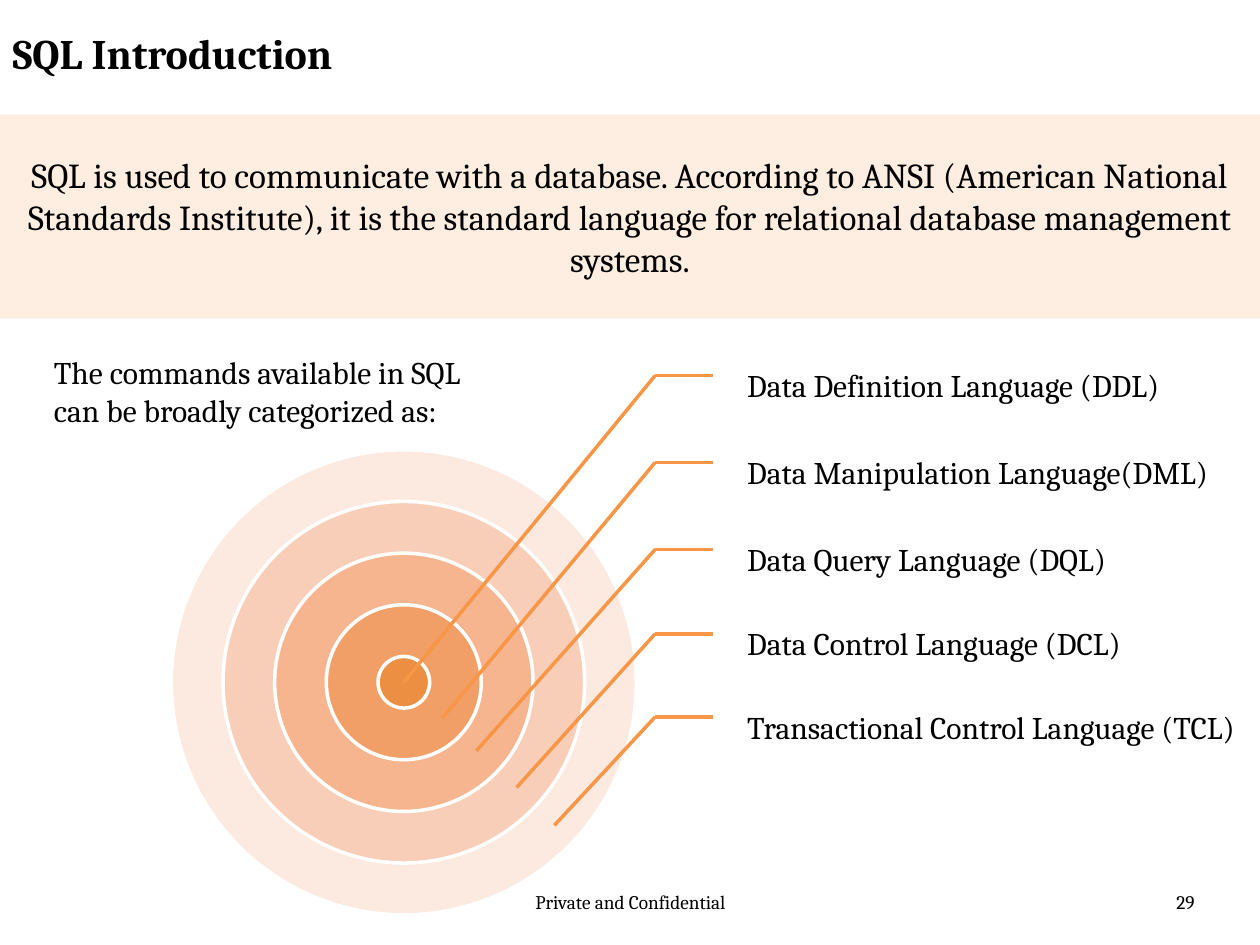
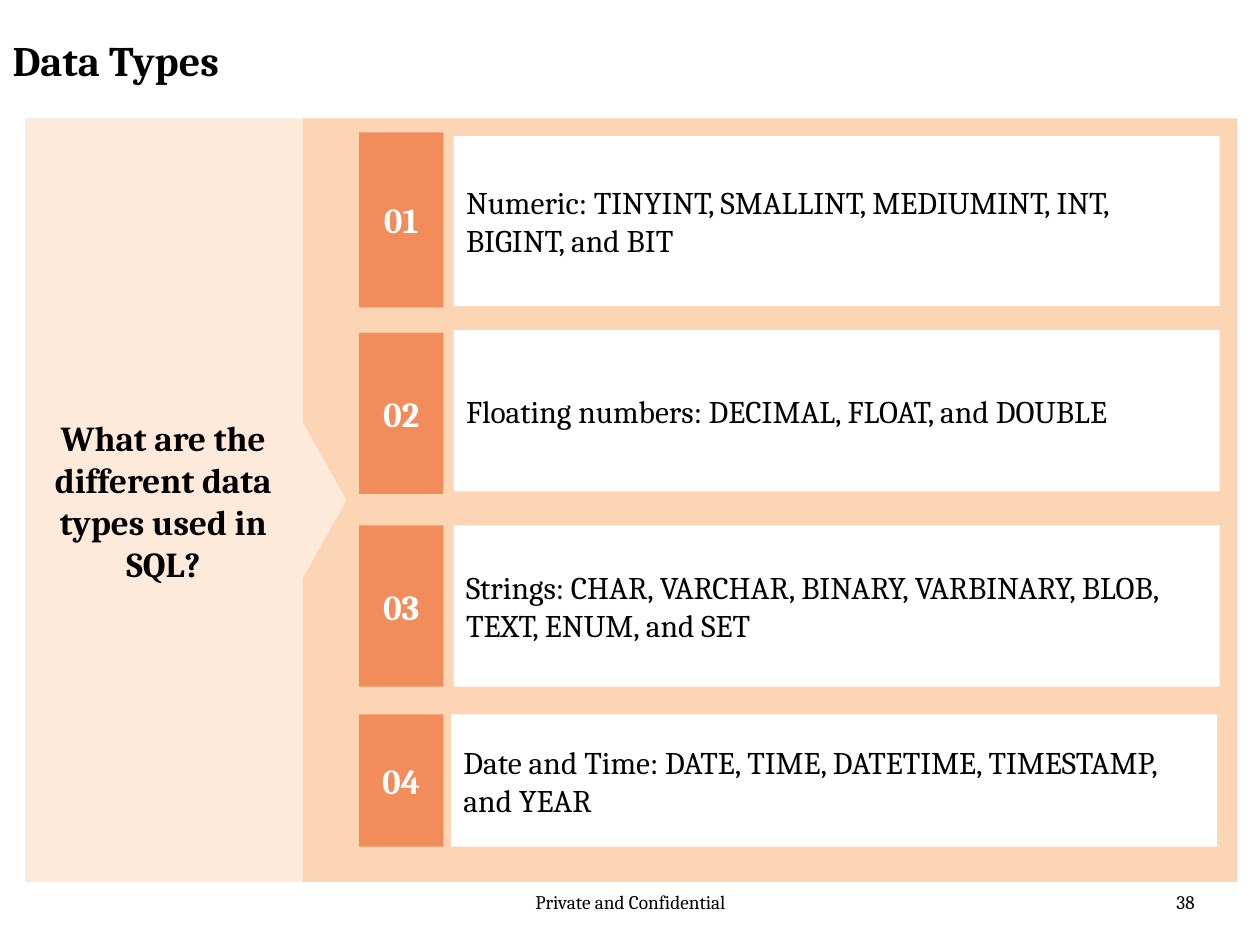
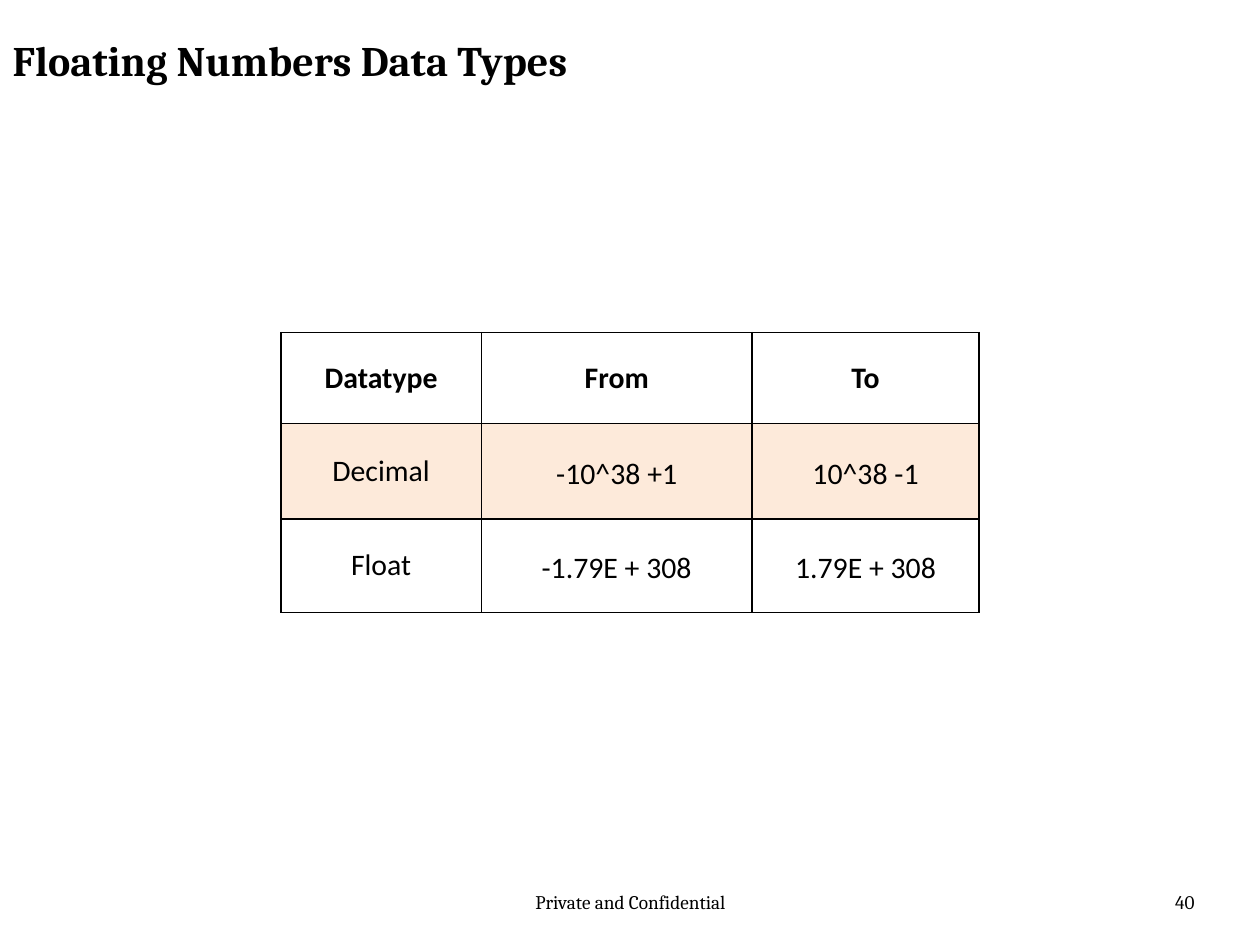
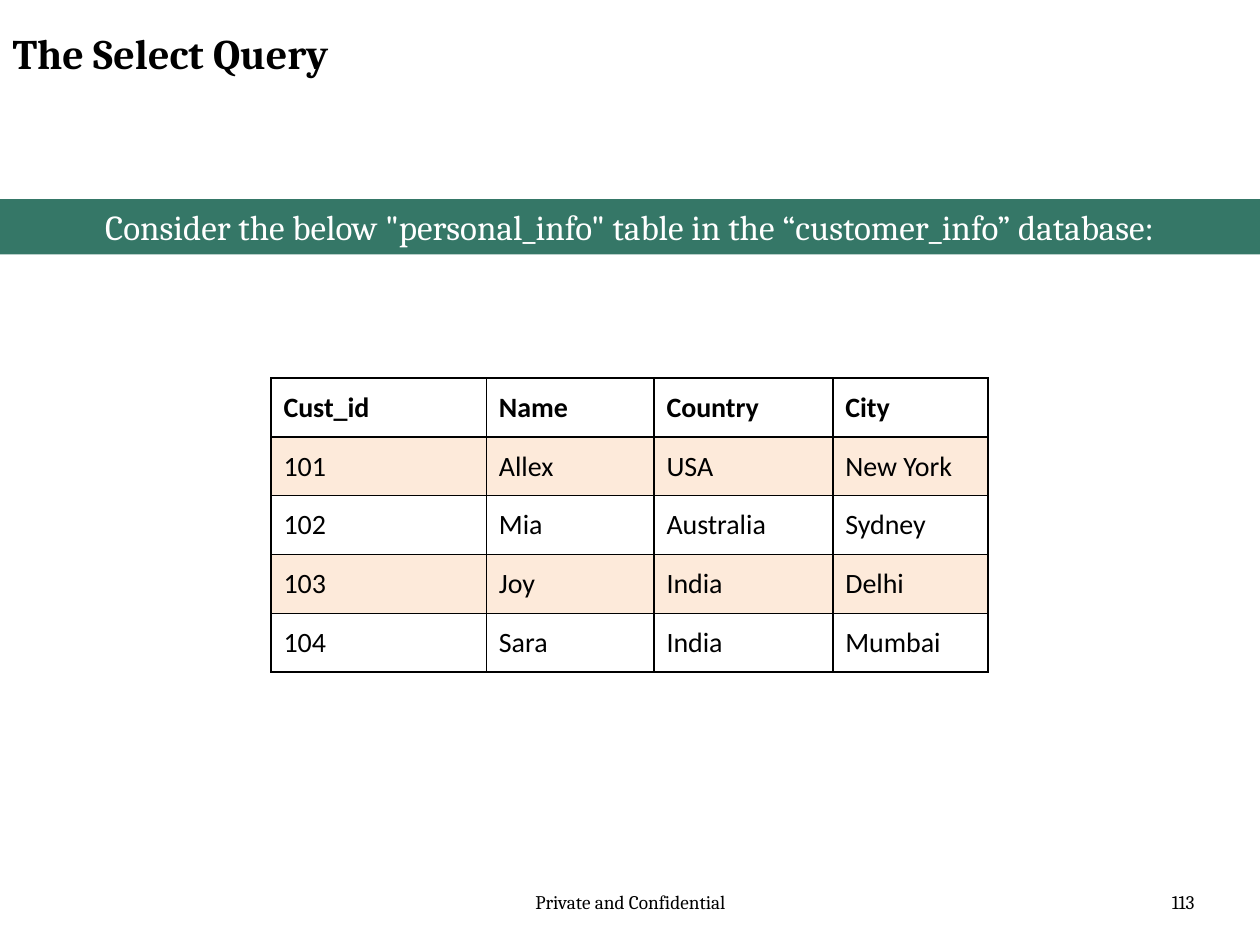
from dataclasses import dataclass

from lxml import etree
from pptx import Presentation
from pptx import util as u
from pptx.dml.color import RGBColor
from pptx.enum import shapes, text
from pptx.oxml import ns

COLUMNS, ROWS = 100, 75
LEFT, CENTER, RIGHT = text.PP_ALIGN.LEFT, text.PP_ALIGN.CENTER, text.PP_ALIGN.RIGHT
TOP, MIDDLE = text.MSO_ANCHOR.TOP, text.MSO_ANCHOR.MIDDLE
SHAPE = shapes.MSO_SHAPE


@dataclass(frozen=True)
class Theme:
    font: str = "Cambria"
    table_font: str = "Calibri"
    ink: str = "000000"
    paper: str = "FFFFFF"
    accent: str = "F79646"
    cream: str = "FDEADA"
    peach: str = "FCD5B5"
    badge: str = "F28C5A"
    green: str = "035642"
    rings: tuple = (("FBD4C1", 50), ("F8BFA1", 62), ("F5AD81", 75), ("F19D62", 88), ("EC8F43", 100))
    title: int = 24
    lead: int = 20
    body: int = 18
    ranges: int = 17
    records: int = 16
    footer: int = 11
    stroke: int = 2
    border: int = 1


THEME = Theme()


def write(frame, content, size=THEME.body, color=THEME.ink, font=THEME.font, bold=False,
          align=LEFT, anchor=TOP, spacing=None):
    frame.word_wrap = True
    frame.vertical_anchor = anchor
    paragraph = frame.paragraphs[0]
    paragraph.alignment = align
    if spacing:
        paragraph.line_spacing = spacing
    run = paragraph.add_run()
    run.text = content
    run.font.name, run.font.size, run.font.bold = font, u.Pt(size), bold
    run.font.color.rgb = RGBColor.from_string(color)


def paint(fill, properties, color, opacity=100):
    fill.solid()
    fill.fore_color.rgb = RGBColor.from_string(color)
    if opacity < 100:
        tint = properties.find(ns.qn("a:solidFill"))[0]
        etree.SubElement(tint, ns.qn("a:alpha"), val=str(opacity * 1000))


def outline_cell(properties):
    for index, side in enumerate(("lnL", "lnR", "lnT", "lnB")):
        edge = etree.Element(ns.qn(f"a:{side}"), w=str(u.Pt(THEME.border)))
        fill = etree.SubElement(edge, ns.qn("a:solidFill"))
        etree.SubElement(fill, ns.qn("a:srgbClr"), val=THEME.ink)
        properties.insert(index, edge)


class Deck:
    def __init__(self, theme):
        self.theme = theme
        self.presentation = Presentation()
        self.presentation.slide_width = u.Inches(10)
        self.presentation.slide_height = u.Inches(7.5)
        self.slide = None

    def x(self, columns):
        return round(self.presentation.slide_width * columns / COLUMNS)

    def y(self, rows):
        return round(self.presentation.slide_height * rows / ROWS)

    def box(self, left, top, width, height):
        return self.x(left), self.y(top), self.x(width), self.y(height)

    def start(self, heading, number, top=1.7):
        self.slide = self.presentation.slides.add_slide(self.presentation.slide_layouts[5])
        title = self.slide.shapes.title
        title.left, title.top, title.width, title.height = self.box(0, top, 75.9, 6.2)
        title.text_frame.auto_size = text.MSO_AUTO_SIZE.NONE
        write(title.text_frame, heading, size=self.theme.title, bold=True)
        self.label((34.2, 70.2, 31.7, 4), "Private and Confidential", size=self.theme.footer, align=CENTER)
        self.label((72.5, 70.2, 23.3, 4), str(number), size=self.theme.footer, align=RIGHT)

    def label(self, place, content, insets=None, **style):
        frame = self.slide.shapes.add_textbox(*self.box(*place)).text_frame
        if insets:
            frame.margin_left, frame.margin_top, frame.margin_right, frame.margin_bottom = map(u.Inches, insets)
        write(frame, content, **style)

    def shape(self, place, fill, content=None, kind=SHAPE.RECTANGLE, opacity=100,
              outline=None, adjustments=(), **style):
        item = self.slide.shapes.add_shape(kind, *self.box(*place))
        item.shadow.inherit = False
        for index, value in enumerate(adjustments):
            item.adjustments[index] = value
        paint(item.fill, item.element.spPr, fill, opacity)
        if outline:
            item.line.color.rgb = RGBColor.from_string(outline)
            item.line.width = u.Pt(self.theme.stroke)
        else:
            item.line.fill.background()
        if content:
            write(item.text_frame, content, **style)

    def line(self, start, end):
        connector = self.slide.shapes.add_connector(
            shapes.MSO_CONNECTOR.STRAIGHT, self.x(start[0]), self.y(start[1]), self.x(end[0]), self.y(end[1]))
        connector.line.color.rgb = RGBColor.from_string(self.theme.accent)
        connector.line.width = u.Pt(self.theme.stroke)
        etree.SubElement(connector.element.spPr, ns.qn("a:effectLst"))

    def table(self, corner, widths, heights, records, value_spacing=None, **style):
        place = self.box(*corner, sum(widths), sum(heights))
        grid = self.slide.shapes.add_table(len(heights), len(widths), *place).table
        grid.first_row = grid.horz_banding = False
        for column, width in zip(grid.columns, widths):
            column.width = self.x(width)
        for row, height in zip(grid.rows, heights):
            row.height = self.y(height)
        for r, record in enumerate(records):
            for c, content in enumerate(record):
                cell = grid.cell(r, c)
                cell.margin_left = cell.margin_right = cell.margin_top = cell.margin_bottom = u.Inches(0.1)
                write(cell.text_frame, content, font=self.theme.table_font, bold=r == 0,
                      spacing=value_spacing if r and c else None, **style)
                cell.vertical_anchor = style.get("anchor", TOP)
                properties = cell._tc.get_or_add_tcPr()
                if r % 2:
                    paint(cell.fill, properties, self.theme.accent, 20)
                else:
                    cell.fill.background()
                outline_cell(properties)


def introduction(deck):
    theme = deck.theme
    deck.start("SQL Introduction", 29)
    center_x, center_y, core = 32.05, 54.15, 4.1
    for index, (color, opacity) in enumerate(theme.rings):
        diameter = core * (2 * (len(theme.rings) - index) - 1)
        place = (center_x - diameter / 2, center_y - diameter / 2, diameter, diameter)
        deck.shape(place, color, kind=SHAPE.OVAL, opacity=opacity, outline=theme.paper)
    categories = (
        ("Data Definition Language (DDL)", 29.8, (32, 54.2)),
        ("Data Manipulation Language(DML)", 36.7, (35.1, 57)),
        ("Data Query Language (DQL)", 43.6, (37.8, 59.6)),
        ("Data Control Language (DCL)", 50.3, (41, 62.5)),
        ("Transactional Control Language (TCL)", 56.9, (44, 65.5)),
    )
    for category, level, ring_point in categories:
        bend = (52, level)
        deck.label((57.9, level - 2.3, 41.3, 6.5), category, insets=(0.14, 0.03, 0.03, 0.03),
                   anchor=MIDDLE, spacing=0.9)
        deck.line(bend, (56.6, level))
        deck.line(bend, ring_point)
    deck.shape((0, 9.1, 100, 16.2), theme.cream,
               "SQL is used to communicate with a database. According to ANSI (American National Standards "
               "Institute), it is the standard language for relational database management systems.",
               opacity=79, size=theme.lead, align=CENTER, anchor=MIDDLE)
    deck.label((3.3, 27.5, 37.5, 7.1), "The commands available in SQL can be broadly categorized as:")


def data_types(deck):
    theme = deck.theme
    heavy = dict(size=theme.lead, bold=True, align=CENTER, anchor=MIDDLE)
    deck.start("Data Types", 38, top=2.2)
    deck.shape((24, 9.4, 74.2, 60.6), theme.peach)
    deck.shape((2, 9.4, 25.5, 60.6), theme.cream, "What are the different data types used in SQL?",
               kind=SHAPE.RIGHT_ARROW_CALLOUT, adjustments=(0.25, 0.25, 0.14, 0.86), **heavy)
    families = (
        ("Numeric: TINYINT, SMALLINT, MEDIUMINT, INT, BIGINT, and BIT", (10.5, 13.9), (36, 10.8, 13.5)),
        ("Floating numbers: DECIMAL, FLOAT, and DOUBLE", (26.4, 12.8), (36, 26.2, 12.8)),
        ("Strings: CHAR, VARCHAR, BINARY, VARBINARY, BLOB, TEXT, ENUM, and SET", (41.7, 12.8), (36, 41.7, 12.8)),
        ("Date and Time: DATE, TIME, DATETIME, TIMESTAMP, and YEAR", (56.7, 10.5), (35.8, 56.7, 10.5)),
    )
    for number, (family, (badge_top, badge_height), (left, top, height)) in enumerate(families, 1):
        deck.shape((left, top, 60.8, height), theme.paper, family, anchor=MIDDLE)
        deck.shape((28.5, badge_top, 6.7, badge_height), theme.badge, f"{number:02d}",
                   color=theme.paper, **heavy)


def floating_numbers(deck):
    deck.start("Floating Numbers Data Types", 40, top=2.2)
    ranges = (
        ("Datatype", "From", "To"),
        ("Decimal", "-10^38 +1", "10^38 -1"),
        ("Float", "-1.79E + 308", "1.79E + 308"),
    )
    deck.table((22.3, 26.4), (15.9, 21.5, 18), (7.2, 7.6, 7.4), ranges, value_spacing=1.15,
               size=deck.theme.ranges, align=CENTER, anchor=MIDDLE)


def select_query(deck):
    theme = deck.theme
    deck.start("The Select Query", 113)
    deck.shape((0, 15.8, 100, 4.4), theme.green,
               'Consider the below "personal_info" table in the “customer_info” database:',
               opacity=80, size=theme.lead, color=theme.paper, align=CENTER)
    customers = (
        ("Cust_id", "Name", "Country", "City"),
        ("101", "Allex", "USA", "New York"),
        ("102", "Mia", "Australia", "Sydney"),
        ("103", "Joy", "India", "Delhi"),
        ("104", "Sara", "India", "Mumbai"),
    )
    deck.table((21.5, 30), (17.1, 13.3, 14.2, 12.3), (4.66,) * len(customers), customers, size=theme.records)


def main():
    deck = Deck(THEME)
    for build in (introduction, data_types, floating_numbers, select_query):
        build(deck)
    deck.presentation.save("out.pptx")


if __name__ == "__main__":
    main()
